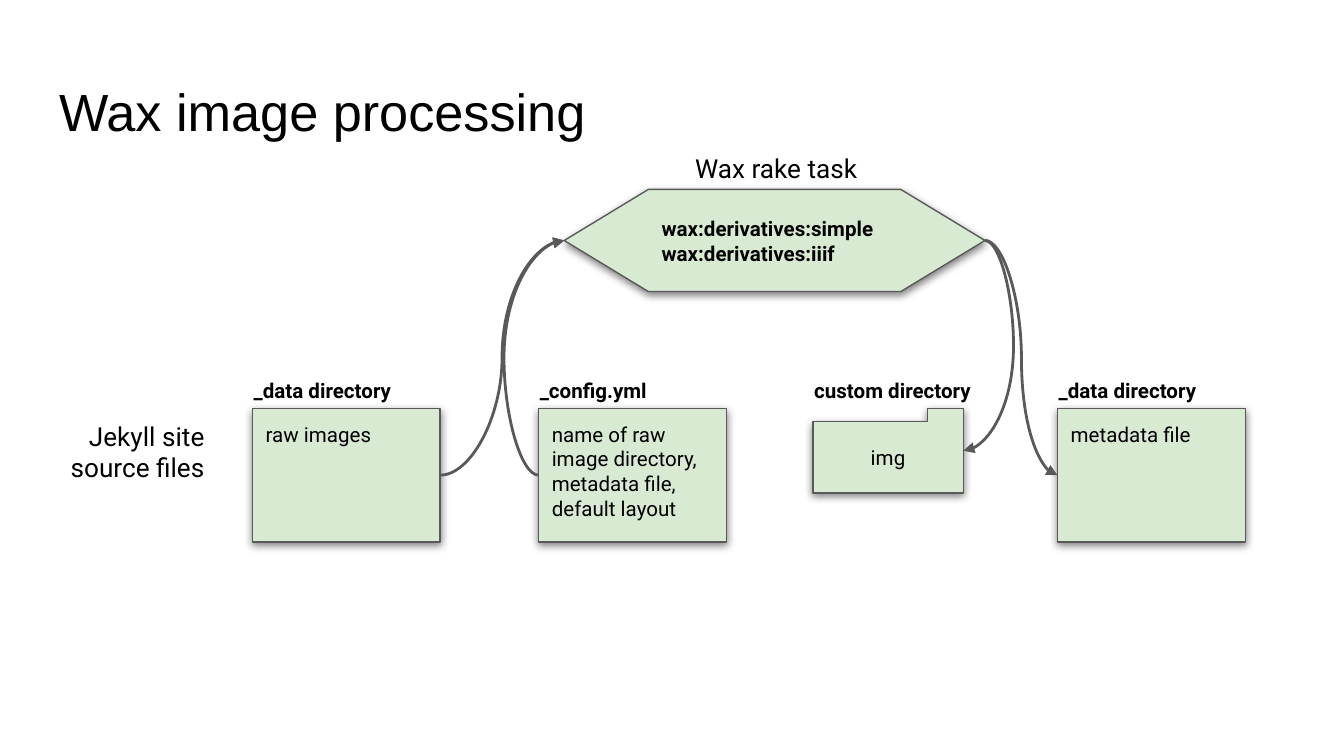
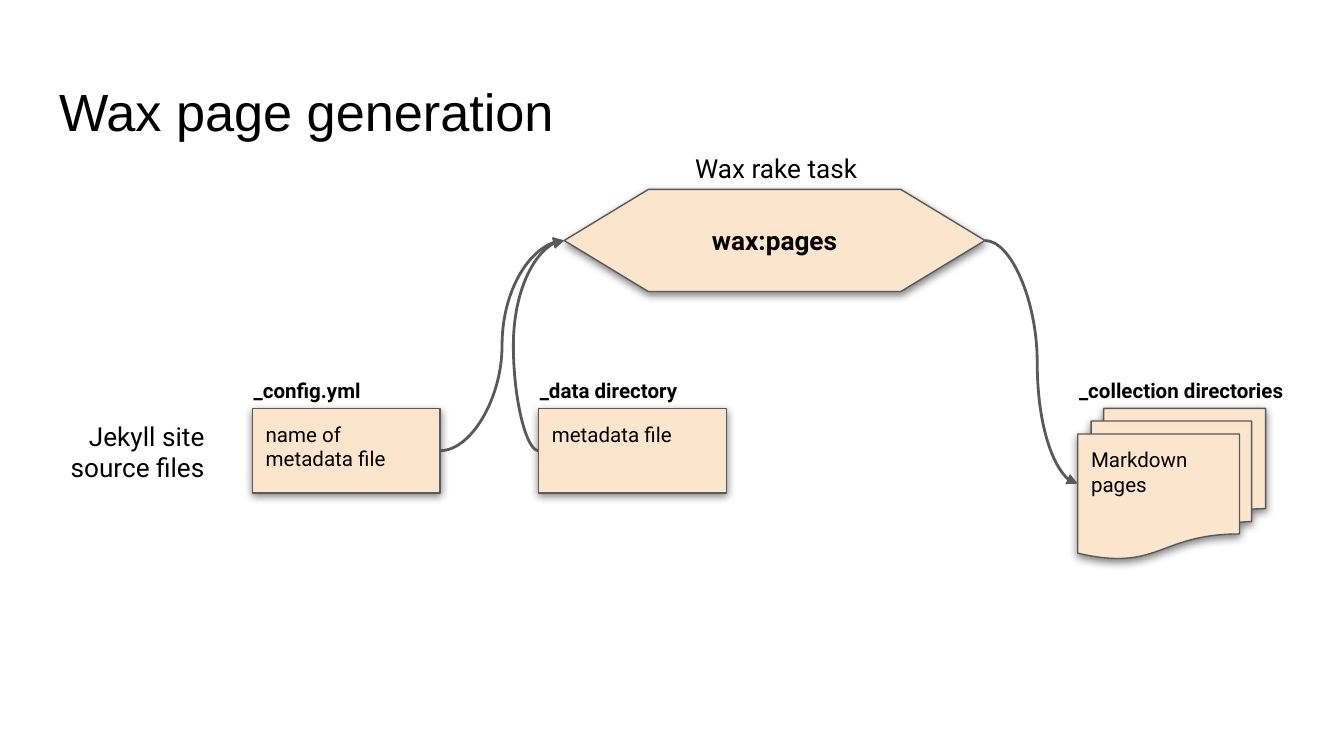
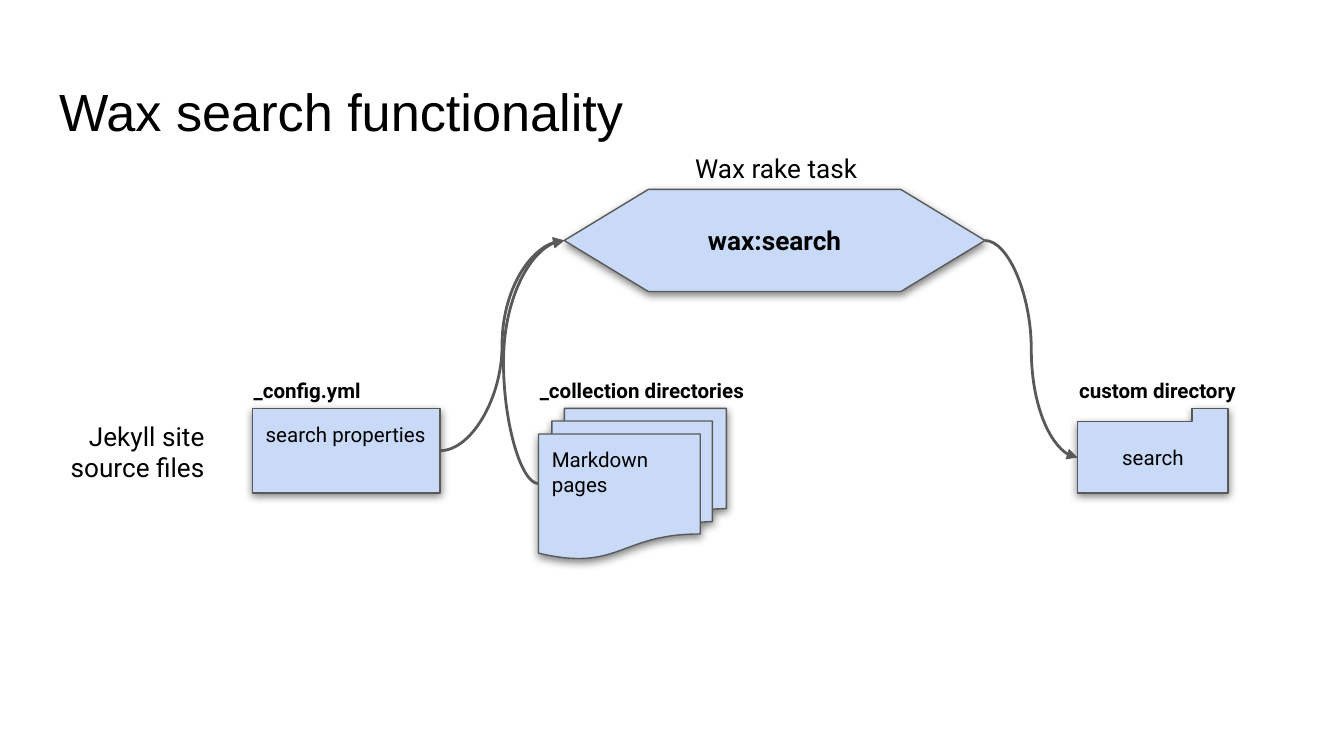
from dataclasses import dataclass
from typing import Any, NamedTuple

from lxml.etree import SubElement
from pptx import Presentation
from pptx.dml.color import RGBColor
from pptx.enum.shapes import MSO_CONNECTOR, MSO_SHAPE
from pptx.enum.text import MSO_ANCHOR, MSO_AUTO_SIZE, PP_ALIGN
from pptx.oxml.ns import qn
from pptx.util import Pt

# Shared look
COLORS = {
    "text": "000000",
    "outline": "595959",
    "green": "D9EAD3",
    "orange": "FCE5CD",
    "blue": "C9DAF8",
}
INSET = 7.2
LEFT, CENTER, RIGHT = PP_ALIGN.LEFT, PP_ALIGN.CENTER, PP_ALIGN.RIGHT
TOP, MIDDLE = MSO_ANCHOR.TOP, MSO_ANCHOR.MIDDLE


class Box(NamedTuple):
    left: float
    top: float
    width: float
    height: float

    def lengths(self) -> list[Pt]:
        return [Pt(value) for value in self]


class TextStyle(NamedTuple):
    size: float
    bold: bool = False
    align: PP_ALIGN = LEFT
    anchor: MSO_ANCHOR = TOP
    font: str = "Roboto"


class Kind(NamedTuple):
    """A card outline: preset, size, text style and height of its left port."""
    preset: MSO_SHAPE
    width: float
    height: float
    style: TextStyle
    left_port: float = 0.5


TITLE_STYLE = TextStyle(28, font="Arial")
CAPTION_STYLE = TextStyle(14, align=CENTER)
ROW_STYLE = TextStyle(14, align=RIGHT, anchor=MIDDLE)
CARD_STYLE = TextStyle(11)
LABEL_STYLE = TextStyle(11, bold=True)
TASK_STYLE = TextStyle(14, bold=True, align=CENTER, anchor=MIDDLE)
TASK_LIST_STYLE = TextStyle(11, bold=True, anchor=MIDDLE)

# Shared places
TITLE_BOX = Box(24.5, 35.3, 671, 45.4)
CAPTION_BOX = Box(349.2, 74.2, 133.2, 27.4)
ROW_BOX = Box(27.4, 214.6, 89.3, 54.7)
TASK_BOX = Box(302.3, 101.5, 225.4, 54.7)
CARD_TOP = 218.8
LABEL_TOP, LABEL_SHIFT = 195.1, 6.4
LABEL_WIDTHS = {"_config.yml": 72, "_data directory": 89.3}
WIDE_LABEL = 136.8
FIRST, SECOND, LAST = 135.2, 288.5, 577.4

# Card outlines
FOLDER_BODY, FOLDER_TAB = 0.842, 0.426
TALL = Kind(MSO_SHAPE.RECTANGLE, 100.6, 71.6, CARD_STYLE)
SHORT = Kind(MSO_SHAPE.RECTANGLE, 100.6, 45.4, CARD_STYLE)
PAGES = Kind(MSO_SHAPE.FLOWCHART_MULTIDOCUMENT, 100.6, 80.6, CARD_STYLE)
FOLDER = Kind(MSO_SHAPE.CORNER, 80.6, 45.4,
              TextStyle(11, align=CENTER, anchor=MIDDLE), 1 - FOLDER_BODY / 2)


@dataclass
class Card:
    kind: Kind
    left: float
    label: str
    text: str
    bend: float
    from_right: bool = False
    is_output: bool = False
    right_inset: float = INSET


@dataclass
class Diagram:
    title: str
    color: str
    tasks: list[str]
    task_style: TextStyle
    cards: list[Card]


DIAGRAMS = [
    Diagram("Wax image processing", "green",
            ["wax:derivatives:simple", "wax:derivatives:iiif"], TASK_LIST_STYLE, [
                Card(TALL, FIRST, "_data directory", "raw images", 269,
                     from_right=True, right_inset=0),
                Card(TALL, SECOND, "_config.yml",
                     "name of raw\vimage directory, metadata file, default layout", 270),
                Card(FOLDER, 435.5, "custom directory", "img", 543,
                     from_right=True, is_output=True),
                Card(TALL, 566.5, "_data directory", "metadata file", 547.2,
                     is_output=True, right_inset=0),
            ]),
    Diagram("Wax page generation", "orange", ["wax:pages"], TASK_STYLE, [
        Card(SHORT, FIRST, "_config.yml", "name of metadata file", 269, from_right=True),
        Card(SHORT, SECOND, "_data directory", "metadata file", 275, right_inset=0),
        Card(PAGES, LAST, "_collection directories", "Markdown pages", 555.7,
             is_output=True, right_inset=0),
    ]),
    Diagram("Wax search functionality", "blue", ["wax:search"], TASK_STYLE, [
        Card(SHORT, FIRST, "_config.yml", "search properties", 269, from_right=True),
        Card(PAGES, SECOND, "_collection directories", "Markdown pages", 269.7,
             right_inset=0),
        Card(FOLDER, LAST, "custom directory", "search", 552.5, is_output=True),
    ]),
]


def apply_format(target: Any, values: dict[str, Any]) -> None:
    for name, value in values.items():
        setattr(target, name, value)


def rgb(name: str) -> RGBColor:
    return RGBColor.from_string(COLORS[name])


def write_text(shape: Any, lines: list[str], style: TextStyle,
               right_inset: float = INSET) -> None:
    frame = shape.text_frame
    apply_format(frame, {
        "word_wrap": True, "auto_size": MSO_AUTO_SIZE.NONE,
        "vertical_anchor": style.anchor,
        "margin_left": Pt(INSET), "margin_right": Pt(right_inset),
        "margin_top": Pt(INSET), "margin_bottom": Pt(INSET),
    })
    for index, line in enumerate(lines):
        para = frame.add_paragraph() if index else frame.paragraphs[0]
        para.text = line
        para.alignment = style.align
        for span in para.runs:
            apply_format(span.font, {"name": style.font, "size": Pt(style.size),
                                     "bold": style.bold})
            span.font.color.rgb = rgb("text")


def add_label(page: Any, box: Box, text: str, style: TextStyle) -> None:
    write_text(page.shapes.add_textbox(*box.lengths()), [text], style)


def add_shadow(shape: Any) -> None:
    shape.shadow.inherit = False
    effects = shape.element.spPr.find(qn("a:effectLst"))
    shadow = SubElement(effects, qn("a:outerShdw"), blurRad=str(Pt(4.5)),
                        dist=str(Pt(1.5)), dir="5400000", algn="bl", rotWithShape="0")
    color = SubElement(shadow, qn("a:srgbClr"), val=COLORS["text"])
    SubElement(color, qn("a:alpha"), val="50000")


def add_node(page: Any, preset: MSO_SHAPE, box: Box, color: str) -> Any:
    node = page.shapes.add_shape(preset, *box.lengths())
    node.fill.solid()
    node.fill.fore_color.rgb = rgb(color)
    node.line.color.rgb = rgb("outline")
    node.line.width = Pt(0.75)
    add_shadow(node)
    return node


def add_arrow(page: Any, start: tuple[float, float], end: tuple[float, float],
              bend: float) -> None:
    """Draw a curved arrow whose middle stretch runs at the x position bend."""
    arrow = page.shapes.add_connector(MSO_CONNECTOR.CURVE,
                                      *[Pt(value) for value in (*start, *end)])
    arrow.line.color.rgb = rgb("outline")
    arrow.line.width = Pt(1.5)
    properties = arrow.element.spPr
    SubElement(properties.find(qn("a:ln")), qn("a:tailEnd"), type="triangle")
    SubElement(properties, qn("a:effectLst"))
    guides = properties.find(qn("a:prstGeom")).find(qn("a:avLst"))
    share = round((bend - start[0]) / (end[0] - start[0]) * 100000)
    SubElement(guides, qn("a:gd"), name="adj1", fmla=f"val {share}")


def add_card(page: Any, card: Card, color: str) -> None:
    kind = card.kind
    box = Box(card.left, CARD_TOP, kind.width, kind.height)
    node = add_node(page, kind.preset, box, color)
    if kind is FOLDER:
        node.adjustments[0] = FOLDER_BODY
        node.adjustments[1] = FOLDER_TAB
        node.element.spPr.find(qn("a:xfrm")).set("flipH", "1")
    write_text(node, [card.text], kind.style, card.right_inset)
    label_box = Box(card.left - LABEL_SHIFT, LABEL_TOP,
                    LABEL_WIDTHS.get(card.label, WIDE_LABEL), 27.4)
    add_label(page, label_box, card.label, LABEL_STYLE)

    # Arrow between the card and the task
    port = (box.left + box.width * card.from_right,
            box.top + box.height * (0.5 if card.from_right else kind.left_port))
    task_port = (TASK_BOX.left + TASK_BOX.width * card.is_output,
                 TASK_BOX.top + TASK_BOX.height / 2)
    start, end = (task_port, port) if card.is_output else (port, task_port)
    add_arrow(page, start, end, card.bend)


def add_diagram(deck: Any, diagram: Diagram) -> None:
    page = deck.slides.add_slide(deck.slide_layouts[5])
    title = page.shapes.title
    apply_format(title, dict(zip(("left", "top", "width", "height"), TITLE_BOX.lengths())))
    write_text(title, [diagram.title], TITLE_STYLE)
    add_label(page, CAPTION_BOX, "Wax rake task", CAPTION_STYLE)
    add_label(page, ROW_BOX, "Jekyll site source files", ROW_STYLE)
    task = add_node(page, MSO_SHAPE.FLOWCHART_PREPARATION, TASK_BOX, diagram.color)
    write_text(task, diagram.tasks, diagram.task_style)
    for card in diagram.cards:
        add_card(page, card, diagram.color)


def main() -> None:
    deck = Presentation()
    deck.slide_width, deck.slide_height = Pt(720), Pt(405)
    for diagram in DIAGRAMS:
        add_diagram(deck, diagram)
    deck.save("out.pptx")


if __name__ == "__main__":
    main()
